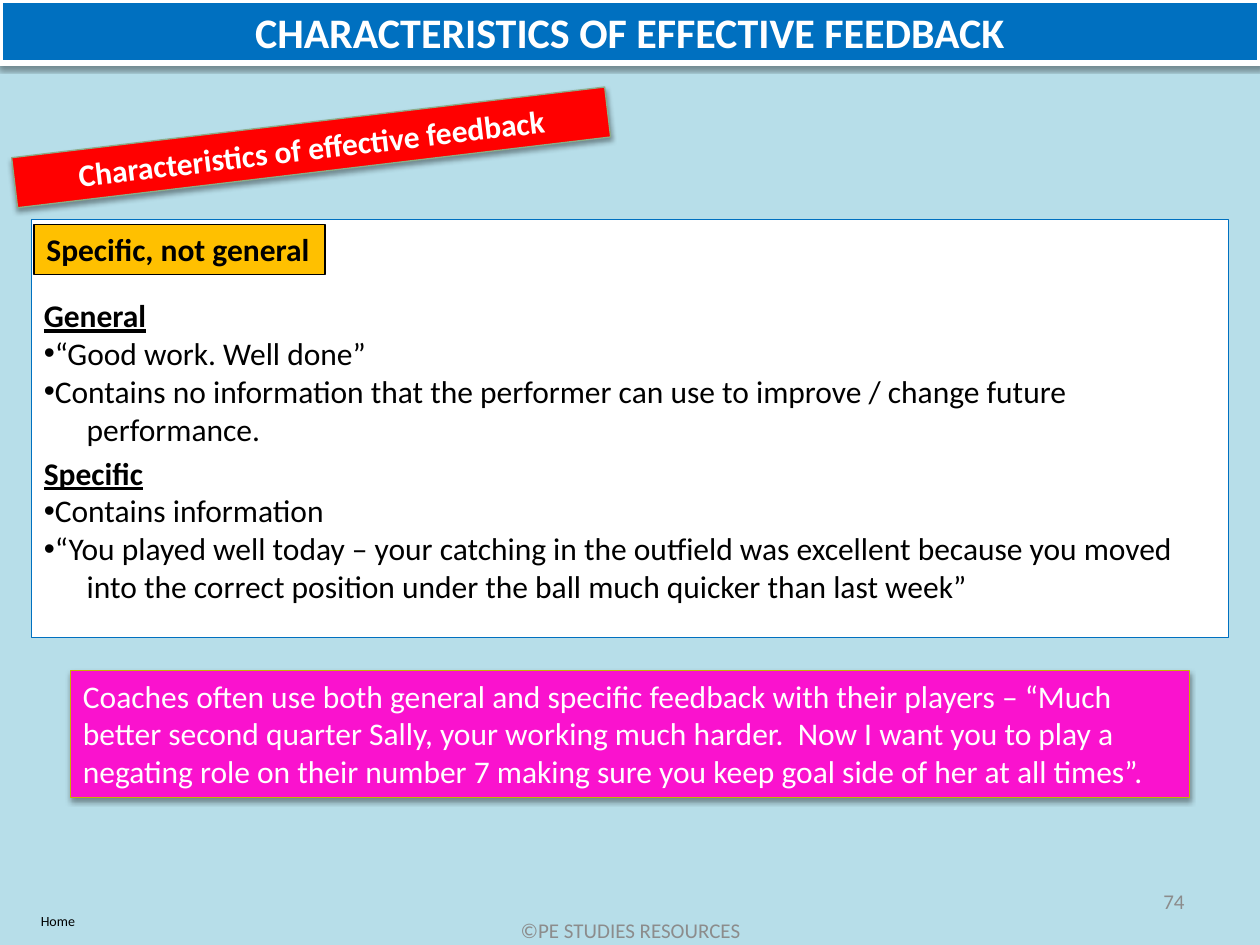
from lxml import etree
from pptx import Presentation
from pptx.dml.color import RGBColor
from pptx.enum.shapes import MSO_SHAPE
from pptx.enum.text import MSO_ANCHOR, MSO_AUTO_SIZE, PP_ALIGN
from pptx.oxml.ns import qn
from pptx.util import Inches, Pt

RECTANGLE = MSO_SHAPE.RECTANGLE
TOP, MIDDLE = MSO_ANCHOR.TOP, MSO_ANCHOR.MIDDLE
LEFT, CENTER, RIGHT = PP_ALIGN.LEFT, PP_ALIGN.CENTER, PP_ALIGN.RIGHT
NO_AUTOFIT = MSO_AUTO_SIZE.NONE

FONT = "Calibri"
SKY = RGBColor(0xB7, 0xDE, 0xE9)
BLUE = RGBColor(0x00, 0x70, 0xC0)
WHITE = RGBColor(0xFF, 0xFF, 0xFF)
BLACK = RGBColor(0x00, 0x00, 0x00)
PINK = RGBColor(0xFA, 0x12, 0xCE)
OLIVE = RGBColor(0xC8, 0xB0, 0x00)
AMBER = RGBColor(0xFF, 0xC0, 0x00)
RED = RGBColor(0xFF, 0x00, 0x00)
SAGE = RGBColor(0x8B, 0xAD, 0x88)
GREY = RGBColor(0x8C, 0x8C, 0x8C)

HEADING, BULLET, CONTINUATION = "heading", "bullet", "continuation"
FEEDBACK_LINES = [
    (HEADING, "General"),
    (BULLET, "“Good work. Well done”"),
    (BULLET, "Contains no information that the performer can use to improve / change future"),
    (CONTINUATION, "performance."),
    (HEADING, "Specific"),
    (BULLET, "Contains information"),
    (BULLET, "“You played well today – your catching in the outfield was excellent because you moved"),
    (CONTINUATION, "into the correct position under the ball much quicker than last week”"),
]
COACH_TEXT = (
    "Coaches often use both general and specific feedback with their players – "
    "“Much better second quarter Sally, your working much harder.  Now I want you "
    "to play a negating role on their number 7 making sure you keep goal side of "
    "her at all times”."
)


def write_text(paragraph, text, size=18, color=BLACK, bold=False,
               underline=False, align=LEFT):
    """Write formatted text into a paragraph."""
    paragraph.text = text
    paragraph.alignment = align
    font = paragraph.font
    font.name, font.size = FONT, Pt(size)
    font.bold, font.underline = bold, underline
    font.color.rgb = color


def prepare_frame(shape, anchor=TOP, wrap=True):
    """Set wrapping and anchoring, and return the first paragraph."""
    frame = shape.text_frame
    frame.auto_size = NO_AUTOFIT
    frame.word_wrap = wrap
    frame.vertical_anchor = anchor
    return frame.paragraphs[0]


def paint(shape, fill, line, line_width=0.75):
    """Give a shape a solid fill and outline without a shadow."""
    shape.fill.solid()
    shape.fill.fore_color.rgb = fill
    shape.line.color.rgb = line
    shape.line.width = Pt(line_width)
    shape.shadow.inherit = False


def add_shadow(shape):
    """Add a soft black shadow below a painted shape."""
    effects = shape.element.spPr.find(qn("a:effectLst"))
    shadow = etree.SubElement(
        effects, qn("a:outerShdw"), blurRad=str(Pt(3.1)), dist=str(Pt(1.6)),
        dir="5400000", rotWithShape="0")
    color = etree.SubElement(shadow, qn("a:srgbClr"), val=str(BLACK))
    etree.SubElement(color, qn("a:alpha"), val="38000")


def add_box(slide, position, fill, line):
    """Add a painted rectangle."""
    shape = slide.shapes.add_shape(RECTANGLE, *map(Inches, position))
    paint(shape, fill, line)
    return shape


def add_label(slide, position, text, anchor=MIDDLE, **text_format):
    """Add a plain text box."""
    label = slide.shapes.add_textbox(*map(Inches, position))
    write_text(prepare_frame(label, anchor), text, **text_format)


def format_title(title):
    """Turn the title placeholder into the header band."""
    title.left, title.top = Inches(0), Inches(0)
    title.width, title.height = Inches(10), Inches(0.5)
    paint(title, BLUE, WHITE, 3)
    add_shadow(title)
    write_text(prepare_frame(title), "CHARACTERISTICS OF EFFECTIVE FEEDBACK",
               size=24, color=WHITE, bold=True, align=CENTER)


def format_feedback_line(paragraph, kind):
    """Set the spacing, indent and bullet for a kind of line."""
    properties = paragraph._p.get_or_add_pPr()
    if kind == BULLET:
        properties.set("marL", "0")
        properties.set("indent", str(-Inches(0.31)))
        etree.SubElement(properties, qn("a:buFont"), typeface="Arial")
        etree.SubElement(properties, qn("a:buChar"), char="•")
    elif kind == CONTINUATION:
        properties.set("marL", str(Inches(0.34)))


def add_feedback_panel(slide):
    """Add the white panel comparing general and specific feedback."""
    panel = add_box(slide, (0.25, 1.74, 9.5, 3.32), WHITE, BLUE)
    paragraph = prepare_frame(panel)
    panel.text_frame.margin_top = Inches(0.61)
    for index, (kind, text) in enumerate(FEEDBACK_LINES):
        if index:
            paragraph = panel.text_frame.add_paragraph()
        format_feedback_line(paragraph, kind)
        is_heading = kind == HEADING
        if index and is_heading:
            paragraph.space_before = Pt(3.6)
        write_text(paragraph, text, bold=is_heading, underline=is_heading)


def main():
    """Build and save the slide."""
    presentation = Presentation()
    presentation.slide_width, presentation.slide_height = Inches(10), Inches(7.5)
    slide = presentation.slides.add_slide(presentation.slide_layouts[5])
    slide.background.fill.solid()
    slide.background.fill.fore_color.rgb = SKY

    format_title(slide.shapes.title)
    add_feedback_panel(slide)

    coach_box = add_box(slide, (0.56, 5.32, 8.88, 1.01), PINK, OLIVE)
    add_shadow(coach_box)
    write_text(prepare_frame(coach_box), COACH_TEXT, color=WHITE)

    topic_tag = add_box(slide, (0.27, 1.78, 2.31, 0.4), AMBER, BLACK)
    write_text(prepare_frame(topic_tag, wrap=False), "Specific, not general", bold=True)

    banner = add_box(slide, (0.1, 0.97, 4.74, 0.4), RED, SAGE)
    banner.rotation = 353.2
    add_shadow(banner)
    write_text(prepare_frame(banner), "Characteristics of effective feedback",
               color=WHITE, bold=True, align=CENTER)

    add_label(slide, (7.17, 6.95, 2.33, 0.4), "74", size=12, color=GREY, align=RIGHT)
    add_label(slide, (3.42, 7.18, 3.17, 0.4), "©PE STUDIES RESOURCES",
              size=12, color=GREY, align=CENTER)
    add_label(slide, (0, 7.19, 0.92, 0.24), "Home", anchor=TOP, size=8, align=CENTER)
    presentation.save("out.pptx")


if __name__ == "__main__":
    main()
